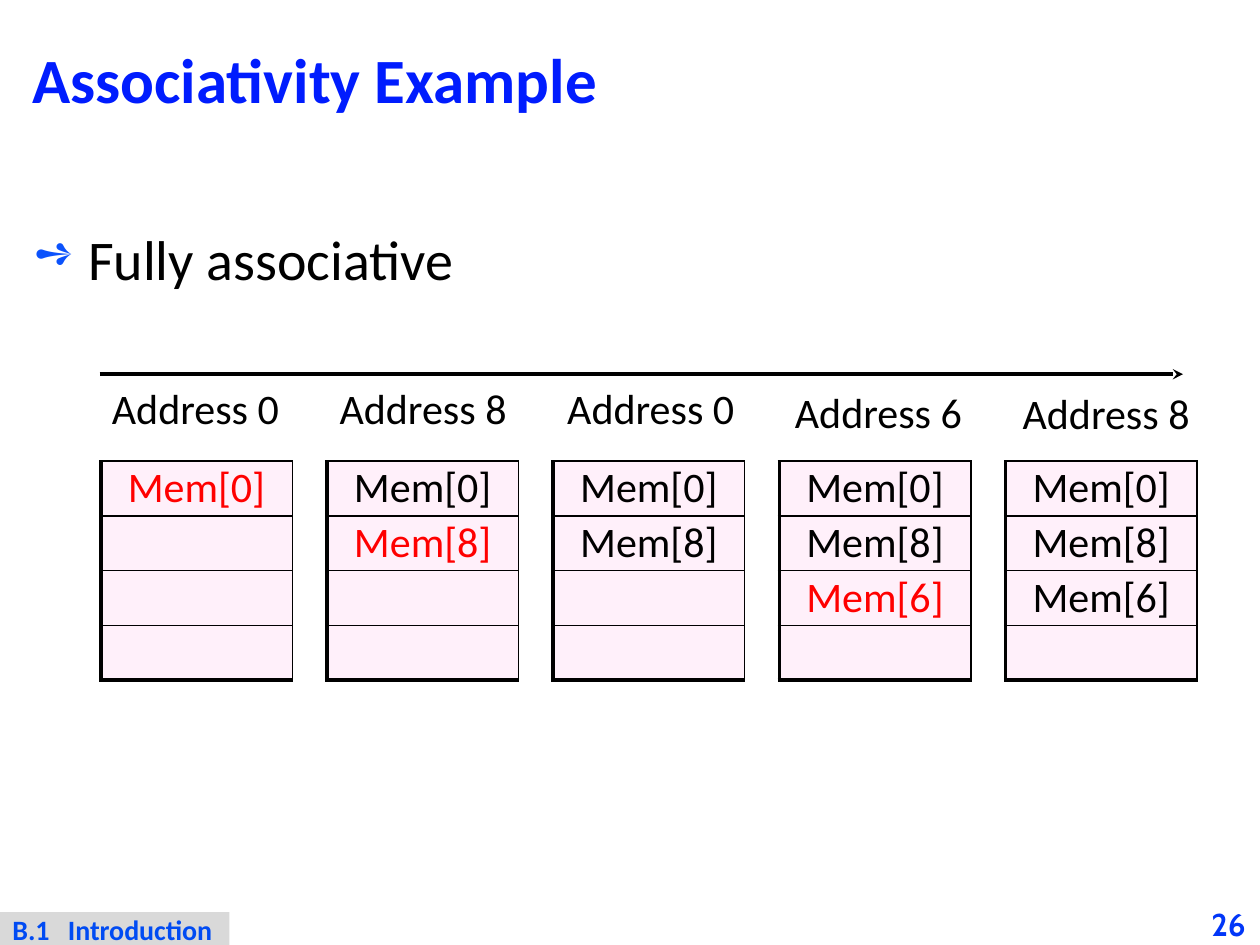
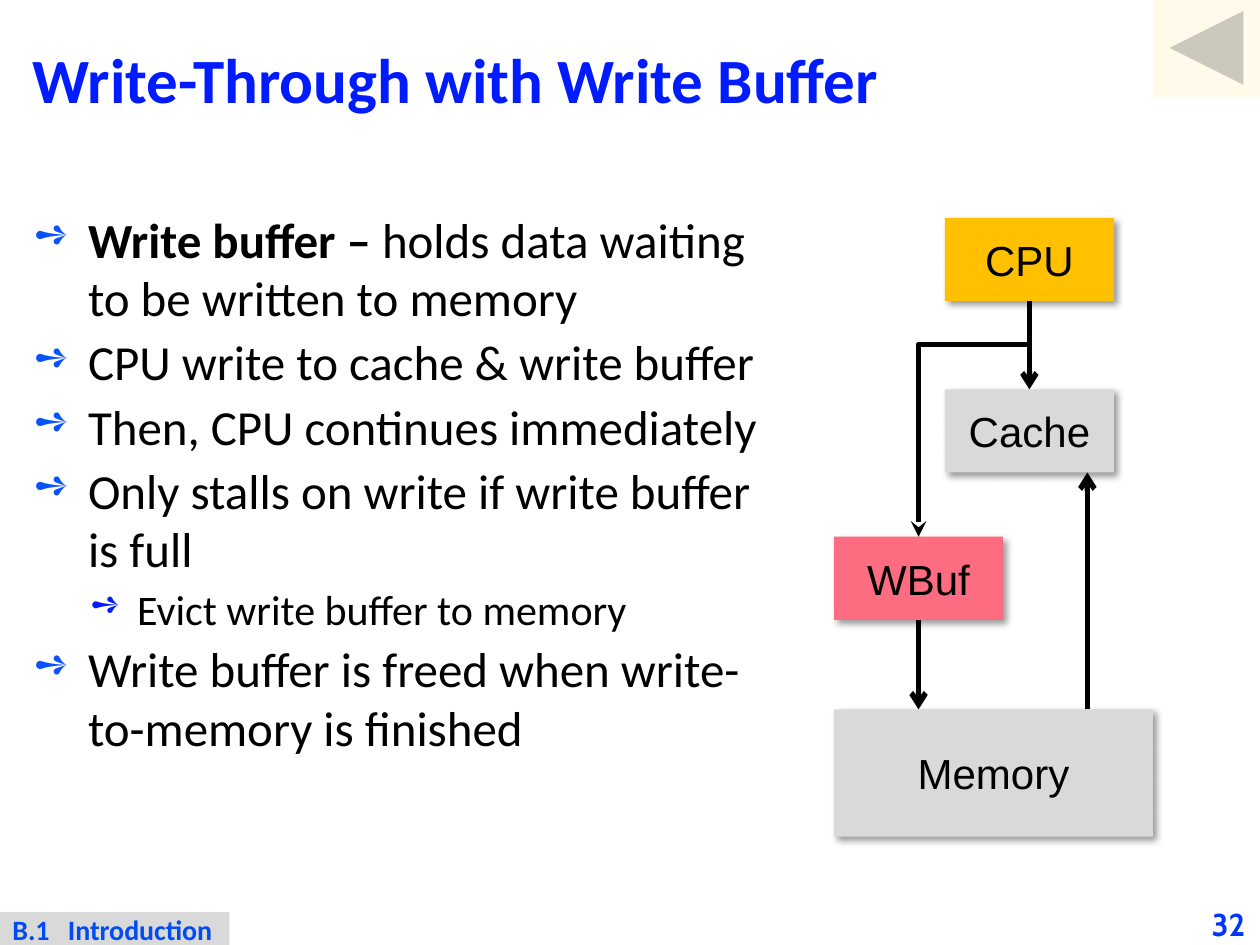
from lxml import etree
from pptx import Presentation
from pptx.dml.color import RGBColor
from pptx.enum.shapes import MSO_CONNECTOR, MSO_SHAPE
from pptx.enum.text import MSO_ANCHOR, PP_ALIGN
from pptx.oxml.ns import qn
from pptx.util import Inches, Pt

RECTANGLE = MSO_SHAPE.RECTANGLE
ROUNDED = MSO_SHAPE.ROUNDED_RECTANGLE
BACK_BUTTON = MSO_SHAPE.ACTION_BUTTON_BACK_OR_PREVIOUS
STRAIGHT, ELBOW = MSO_CONNECTOR.STRAIGHT, MSO_CONNECTOR.ELBOW
LEFT, CENTER = PP_ALIGN.LEFT, PP_ALIGN.CENTER
TOP, MIDDLE = MSO_ANCHOR.TOP, MSO_ANCHOR.MIDDLE
BOTTOM_SIDE, TOP_SIDE = 2, 0

COLORS = {
    "white": "FFFFFF", "black": "000000", "red": "FF0000",
    "title": "001CFE", "bullet": "0B52FC", "number": "0136F8",
    "footer": "004BF3", "gray": "D9D9D9", "cell": "FFF0FA",
    "cpu": "FFC000", "buffer": "FD6C80", "button": "FFF6D5",
}
GRID_COLUMNS, GRID_ROWS = 100, 75
BODY_LEVELS = [(0.44, -0.43, "bullet"), (0.83, -0.37, "title")]
PADDING = (0.1, 0.05)


def add_xml(parent, tag, **attributes):
    return etree.SubElement(parent, qn(tag), {k: str(v) for k, v in attributes.items()})


def add_color(parent, color):
    return add_xml(parent, "a:srgbClr", val=COLORS[color])


class Deck:
    def __init__(self):
        self.presentation = Presentation()
        self.presentation.slide_width = Inches(10)
        self.presentation.slide_height = Inches(7.5)
        self.slide = None

    def column(self, count):
        return round(self.presentation.slide_width * count / GRID_COLUMNS)

    def row(self, count):
        return round(self.presentation.slide_height * count / GRID_ROWS)

    def place(self, left, top, width, height):
        return self.column(left), self.row(top), self.column(width), self.row(height)

    def start_slide(self, title, number):
        self.slide = self.presentation.slides.add_slide(self.presentation.slide_layouts[6])
        panel = self.box(ROUNDED, (1.6, 1.6, 96.8, 10.1), "white")
        panel.adjustments[0] = 0
        self.frame(panel, anchor=MIDDLE)
        paragraph = self.add_text(panel, title, 36, "title", bold=True)
        paragraph.line_spacing = 0.87
        page = self.text_box((95, 71.7, 5, 3.3), anchor=MIDDLE, padding=(0, 0))
        self.add_text(page, number, 18, "number", "Cabin", True, CENTER)
        band = self.box(RECTANGLE, (0, 72.4, 18.2, 2.7), "gray")
        self.frame(band, wrap=False, padding=(0.1, 0))
        paragraph = self.add_text(band, "B.1\tIntroduction", 16, "footer", bold=True)
        tabs = add_xml(paragraph._p.get_or_add_pPr(), "a:tabLst")
        add_xml(tabs, "a:tab", pos=Inches(0.44), algn="l")

    def frame(self, shape, anchor=TOP, wrap=True, padding=PADDING):
        frame = shape.text_frame
        frame.word_wrap = wrap
        frame.vertical_anchor = anchor
        frame.margin_left = frame.margin_right = Inches(padding[0])
        frame.margin_top = frame.margin_bottom = Inches(padding[1])

    def add_run(self, paragraph, text, size, color="black", font="Calibri", bold=False):
        run = paragraph.add_run()
        run.text = text
        run.font.size = Pt(size)
        run.font.name = font
        run.font.bold = bold
        run.font.color.rgb = RGBColor.from_string(COLORS[color])

    def add_text(self, holder, text, size, color="black", font="Calibri", bold=False, align=LEFT):
        paragraph = holder.text_frame.paragraphs[0]
        paragraph.alignment = align
        self.add_run(paragraph, text, size, color, font, bold)
        return paragraph

    def text_box(self, area, **options):
        shape = self.slide.shapes.add_textbox(*self.place(*area))
        self.frame(shape, **options)
        return shape

    def box(self, kind, area, color):
        shape = self.slide.shapes.add_shape(kind, *self.place(*area))
        shape.shadow.inherit = False
        shape.fill.solid()
        shape.fill.fore_color.rgb = RGBColor.from_string(COLORS[color])
        shape.line.fill.background()
        return shape

    def block(self, text, area, color):
        shape = self.box(RECTANGLE, area, color)
        effects = shape._element.spPr.find(qn("a:effectLst"))
        shadow = add_xml(effects, "a:outerShdw", blurRad=Pt(4), dist=Pt(3),
                         dir=45 * 60000, algn="tl", rotWithShape=0)
        add_xml(add_color(shadow, "black"), "a:alpha", val=40000)
        self.frame(shape, anchor=MIDDLE, wrap=False)
        self.add_text(shape, text, 24, font="Arial", align=CENTER)
        return shape

    def body(self, area, items):
        frame = self.text_box(area).text_frame
        for index, (level, size, parts) in enumerate(items):
            paragraph = frame.add_paragraph() if index else frame.paragraphs[0]
            paragraph.level = level
            paragraph.space_after = Pt(3)
            margin, indent, color = BODY_LEVELS[level]
            properties = paragraph._p.get_or_add_pPr()
            properties.set("marL", str(Inches(margin)))
            properties.set("indent", str(Inches(indent)))
            add_color(add_xml(properties, "a:buClr"), color)
            add_xml(properties, "a:buSzPct", val=85000)
            add_xml(properties, "a:buChar", char="➺")
            for text, bold in parts:
                self.add_run(paragraph, text, size, bold=bold)

    def connector(self, start, end, width=3, head="arrow", kind=STRAIGHT):
        line = self.slide.shapes.add_connector(
            kind, self.column(start[0]), self.row(start[1]),
            self.column(end[0]), self.row(end[1]))
        line.line.color.rgb = RGBColor.from_string(COLORS["black"])
        line.line.width = Pt(width)
        properties = line._element.spPr
        add_xml(properties.find(qn("a:ln")), "a:tailEnd", type=head)
        add_xml(properties, "a:effectLst")
        return line

    def turned_elbow(self, area, bend):
        left, top, width, height = area
        line = self.connector((left, top), (left + width, top + height),
                              head="stealth", kind=ELBOW)
        properties = line._element.spPr
        properties.find(qn("a:xfrm")).set("rot", str(90 * 60000))
        geometry = properties.find(qn("a:prstGeom"))
        guides = geometry.find(qn("a:avLst"))
        if guides is None:
            guides = add_xml(geometry, "a:avLst")
        add_xml(guides, "a:gd", name="adj1", fmla=f"val {round(bend * 100000)}")

    def cell_borders(self, cell, widths):
        properties = cell._tc.get_or_add_tcPr()
        for index, (side, width) in enumerate(zip("LRTB", widths)):
            border = etree.Element(qn(f"a:ln{side}"), {"w": str(Pt(width))})
            add_color(add_xml(border, "a:solidFill"), "black")
            properties.insert(index, border)

    def cache_table(self, area, entries, new_entry, lines=4):
        table = self.slide.shapes.add_table(lines, 1, *self.place(*area)).table
        table.first_row = table.horz_banding = False
        for index in range(lines):
            table.rows[index].height = self.row(area[3] / lines)
            cell = table.cell(index, 0)
            cell.fill.solid()
            cell.fill.fore_color.rgb = RGBColor.from_string(COLORS["cell"])
            cell.vertical_anchor = MIDDLE
            cell.margin_top = cell.margin_bottom = 0
            bottom = 2.25 if index == lines - 1 else 1
            self.cell_borders(cell, (2.25, 1, 1, bottom))
            if index < len(entries):
                color = "red" if entries[index] == new_entry else "black"
                self.add_text(cell, entries[index], 24, color, align=CENTER)


def associativity_slide(deck):
    deck.start_slide("Associativity Example", "26")
    deck.body((1.6, 17.3, 96.8, 54.4), [(0, 32, [("Fully associative", False)])])
    accesses = [(0, 29.9), (8, 29.9), (0, 29.9), (6, 30.2), (8, 30.3)]
    entries = []
    for step, (address, label_top) in enumerate(accesses):
        label = deck.text_box((7.9 + 18.07 * step, label_top, 15.4, 5), wrap=False)
        deck.add_text(label, f"Address {address}", 24)
        entry = f"Mem[{address}]"
        missed = entry not in entries
        if missed:
            entries.append(entry)
        deck.cache_table((8 + 17.95 * step, 36.6, 15.2, 17.4), entries,
                         entry if missed else None)
    deck.connector((7.9, 29.7), (93.9, 29.7), width=2, head="stealth")


def write_buffer_slide(deck):
    deck.start_slide("Write-Through with Write Buffer", "32")
    deck.body((1.6, 16.1, 60.5, 56.9), [
        (0, 28, [("Write buffer – ", True),
                 ("holds data waiting to be written to memory", False)]),
        (0, 28, [("CPU write to cache & write buffer", False)]),
        (0, 28, [("Then, CPU continues immediately", False)]),
        (0, 28, [("Only stalls on write if write buffer is full", False)]),
        (1, 24, [("Evict write buffer to memory", False)]),
        (0, 28, [("Write buffer is freed when write-to-memory is finished", False)]),
    ])
    cpu = deck.block("CPU", (75, 17.3, 13.4, 6.6), "cpu")
    deck.block("Memory", (66.2, 56.3, 25.3, 10.1), "gray")
    write_buffer = deck.block("WBuf", (66.2, 42.6, 13.4, 6.6), "buffer")
    cache = deck.block("Cache", (75, 30.9, 13.4, 6.6), "gray")
    cpu_to_cache = deck.connector((81.7, 23.9), (81.7, 30.9))
    cpu_to_cache.begin_connect(cpu, BOTTOM_SIDE)
    cpu_to_cache.end_connect(cache, TOP_SIDE)
    buffer_to_memory = deck.connector((72.9, 49.2), (72.9, 56.3))
    buffer_to_memory.begin_connect(write_buffer, BOTTOM_SIDE)
    deck.turned_elbow((70.1, 31, 14.4, 8.8), -0.06)
    deck.connector((86.3, 56.3), (86.3, 37.5))
    button = deck.box(BACK_BUTTON, (91.5, -0.1, 8.5, 7.8), "button")
    color = button._element.spPr.find(qn("a:solidFill")).find(qn("a:srgbClr"))
    add_xml(color, "a:alpha", val=50000)


def main():
    deck = Deck()
    associativity_slide(deck)
    write_buffer_slide(deck)
    deck.presentation.save("out.pptx")


if __name__ == "__main__":
    main()
